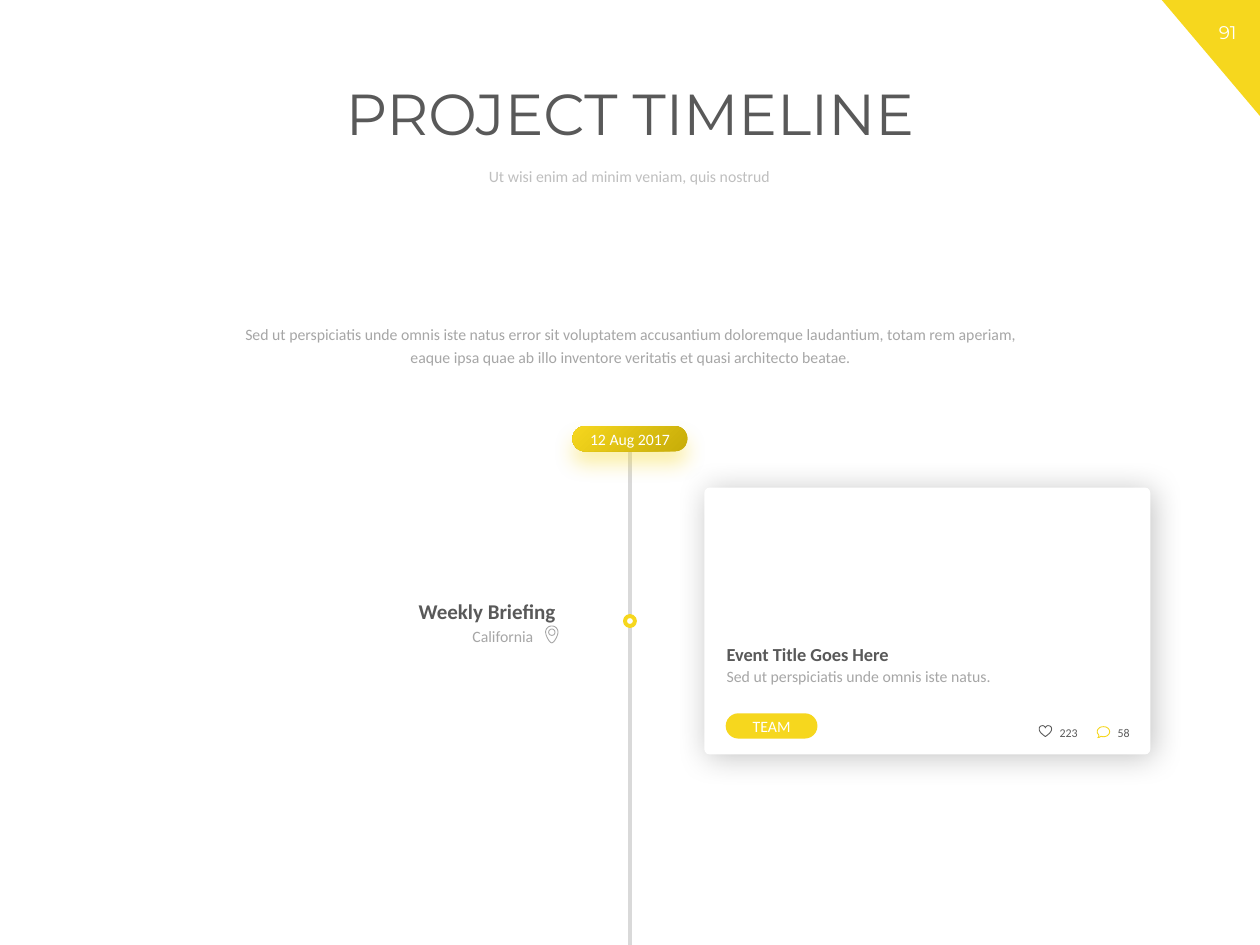
from lxml.etree import SubElement
from pptx import Presentation
from pptx.dml.color import RGBColor
from pptx.enum.shapes import MSO_CONNECTOR, MSO_SHAPE
from pptx.enum.text import MSO_ANCHOR, PP_ALIGN
from pptx.oxml.ns import qn
from pptx.util import Cm, Pt

YELLOW, GOLD, WHITE = "F6D71E", "C7AC08", "FFFFFF"
DARK, GREY, PALE, RAIL = "595959", "A6A6A6", "BFBFBF", "D9D9D9"
LEFT, CENTER, RIGHT = PP_ALIGN.LEFT, PP_ALIGN.CENTER, PP_ALIGN.RIGHT

WIDTH, HEIGHT = 25.4, 19.05
AXIS = WIDTH / 2

# wording, (left, top, width, height) in cm, format
TEXTS = [
    ("91", (24.1, 0.3, 1.3, 0.71),
     dict(size=10.5, color=WHITE, align=CENTER, font="Montserrat")),
    ("PROJECT TIMELINE", (1.45, 1.6, 22.5, 1.85),
     dict(size=33, color=DARK, align=CENTER, font="Montserrat", spacing=0.9)),
    ("Ut wisi enim ad minim veniam, quis nostrud", (3.53, 3.25, 18.31, 0.66),
     dict(size=9, color=PALE, align=CENTER, spacing=0.9, before=9,
          anchor=MSO_ANCHOR.MIDDLE)),
    ("Sed ut perspiciatis unde omnis iste natus error sit voluptatem "
     "accusantium doloremque laudantium, totam rem aperiam, eaque ipsa quae "
     "ab illo inventore veritatis et quasi architecto beatae.",
     (4.6, 6.35, 16.21, 1.17),
     dict(size=9, color=GREY, align=CENTER, spacing=1.2)),
    ("Event Title Goes Here", (14.4, 12.85, 8.59, 0.71),
     dict(size=10.5, color=DARK, bold=True)),
    ("Sed ut perspiciatis unde omnis iste natus.", (14.4, 13.31, 8.59, 0.64),
     dict(size=9, color=GREY)),
    ("223", (21.11, 14.5, 0.91, 0.53), dict(size=6.8, color=DARK)),
    ("58", (22.28, 14.5, 0.91, 0.53), dict(size=6.8, color=DARK)),
    ("Weekly Briefing", (6.27, 11.94, 5.18, 0.76),
     dict(size=12, color=DARK, bold=True, align=RIGHT)),
    ("California", (6.35, 12.52, 4.65, 0.64),
     dict(size=9, color=GREY, align=RIGHT)),
]

# Icon outlines as fractions of their box: start, then cubic curves
HEART = [(0.5, 1),
         [(0.2, 0.75), (0, 0.55), (0, 0.3)], [(0, 0.1), (0.12, 0), (0.27, 0)],
         [(0.38, 0), (0.47, 0.08), (0.5, 0.2)],
         [(0.53, 0.08), (0.62, 0), (0.73, 0)],
         [(0.88, 0), (1, 0.1), (1, 0.3)], [(1, 0.55), (0.8, 0.75), (0.5, 1)]]
BUBBLE = [(0.05, 1),
          [(0.14, 0.92), (0.15, 0.8), (0.1, 0.72)],
          [(0.04, 0.64), (0, 0.55), (0, 0.46)],
          [(0, 0.2), (0.22, 0), (0.5, 0)], [(0.78, 0), (1, 0.2), (1, 0.46)],
          [(1, 0.72), (0.78, 0.92), (0.5, 0.92)],
          [(0.42, 0.92), (0.36, 0.91), (0.3, 0.88)],
          [(0.22, 0.96), (0.13, 1), (0.05, 1)]]
PIN = [(0.5, 0),
       [(0.22, 0), (0, 0.16), (0, 0.37)], [(0, 0.55), (0.3, 1), (0.5, 1)],
       [(0.7, 1), (1, 0.55), (1, 0.37)], [(1, 0.16), (0.78, 0), (0.5, 0)]]
ICONS = [
    (HEART, (20.95, 14.63, 0.25, 0.22), DARK),
    (BUBBLE, (22.12, 14.65, 0.25, 0.22), YELLOW),
    (PIN, (11, 12.62, 0.25, 0.34), GREY),
]


def rgb(value):
    return RGBColor.from_string(value)


def write(shape, wording, size, color, align=LEFT, font="Calibri", bold=False,
          spacing=None, before=None, anchor=MSO_ANCHOR.TOP):
    frame = shape.text_frame
    frame.text = wording
    frame.word_wrap = True
    frame.vertical_anchor = anchor
    para = frame.paragraphs[0]
    para.alignment = align
    if spacing:
        para.line_spacing = spacing
    if before:
        para.space_before = Pt(before)
    span = para.runs[0].font
    span.name, span.size, span.bold = font, Pt(size), bold
    span.color.rgb = rgb(color)


def paint(shape, fill=None, line=None, weight=0.5):
    shape.shadow.inherit = False
    if fill:
        shape.fill.solid()
        shape.fill.fore_color.rgb = rgb(fill)
    else:
        shape.fill.background()
    if line:
        shape.line.color.rgb = rgb(line)
        shape.line.width = Pt(weight)
    else:
        shape.line.fill.background()


def add_box(page, kind, place, corner=None, **look):
    box = page.shapes.add_shape(kind, *map(Cm, place))
    if corner is not None:
        box.adjustments[0] = corner
    paint(box, **look)
    return box


def cast_shadow(shape, color, opacity, blur, distance, angle):
    effects = shape._element.spPr.find(qn("a:effectLst"))
    shadow = SubElement(effects, qn("a:outerShdw"), blurRad=str(Pt(blur)),
                        dist=str(Pt(distance)), dir=str(angle * 60000),
                        algn="ctr", rotWithShape="0")
    tint = SubElement(shadow, qn("a:srgbClr"), val=color)
    SubElement(tint, qn("a:alpha"), val=str(opacity * 1000))


def blend_from_corner(shape, start, end):
    """Fill with a gradient spreading from the top left corner."""
    shape.fill.gradient()
    for stop, color in zip(shape.fill.gradient_stops, (start, end)):
        stop.color.rgb = rgb(color)
    gradient = shape._element.spPr.find(qn("a:gradFill"))
    gradient.remove(gradient.find(qn("a:lin")))
    spread = SubElement(gradient, qn("a:path"), path="circle")
    SubElement(spread, qn("a:fillToRect"), r="100000", b="100000")


def add_icon(page, outline, place, color, steps=8):
    left, top, width, height = place
    start, *curves = outline
    points = [start]
    for first, second, end in curves:
        origin = points[-1]
        for step in range(1, steps + 1):
            t = step / steps
            u = 1 - t
            points.append(tuple(
                u**3 * a + 3 * u * u * t * b + 3 * u * t * t * c + t**3 * d
                for a, b, c, d in zip(origin, first, second, end)))
    spots = [(Cm(left + x * width), Cm(top + y * height)) for x, y in points]
    builder = page.shapes.build_freeform(*spots[0])
    builder.add_line_segments(spots[1:], close=True)
    paint(builder.convert_to_shape(), line=color)


def main():
    deck = Presentation()
    deck.slide_width, deck.slide_height = Cm(WIDTH), Cm(HEIGHT)
    page = deck.slides.add_slide(deck.slide_layouts[6])
    rounded, oval = MSO_SHAPE.ROUNDED_RECTANGLE, MSO_SHAPE.OVAL
    label = dict(size=9, color=WHITE, align=CENTER, anchor=MSO_ANCHOR.MIDDLE)

    corner = add_box(page, MSO_SHAPE.RIGHT_TRIANGLE, (23.42, 0, 1.98, 2.34),
                     fill=YELLOW)
    corner.rotation = 180
    card = add_box(page, rounded, (14.2, 9.83, 8.99, 5.38), 0.02, fill=WHITE)
    cast_shadow(card, "000000", 24, 18, 2, 45)
    team = add_box(page, rounded, (14.63, 14.38, 1.85, 0.51), 0.5, fill=YELLOW)
    write(team, "TEAM", **label)

    rail = page.shapes.add_connector(MSO_CONNECTOR.STRAIGHT, Cm(AXIS), Cm(9.07),
                                     Cm(AXIS), Cm(HEIGHT))
    rail.line.color.rgb = rgb(RAIL)
    rail.line.width = Pt(2.25)
    SubElement(rail._element.spPr, qn("a:effectLst"))
    add_box(page, oval, (AXIS - 0.1, 12.42, 0.2, 0.2),
            fill=WHITE, line=YELLOW, weight=2.25)
    date = add_box(page, rounded, (AXIS - 1.16, 8.59, 2.32, 0.51), 0.5)
    blend_from_corner(date, YELLOW, GOLD)
    cast_shadow(date, YELLOW, 40, 12, 7, 90)
    write(date, "12 Aug 2017", **label)

    for wording, place, style in TEXTS:
        write(page.shapes.add_textbox(*map(Cm, place)), wording, **style)
    for outline, place, color in ICONS:
        add_icon(page, outline, place, color)
    add_box(page, oval, (11.06, 12.68, 0.13, 0.13), line=GREY)

    deck.save("out.pptx")


if __name__ == "__main__":
    main()
